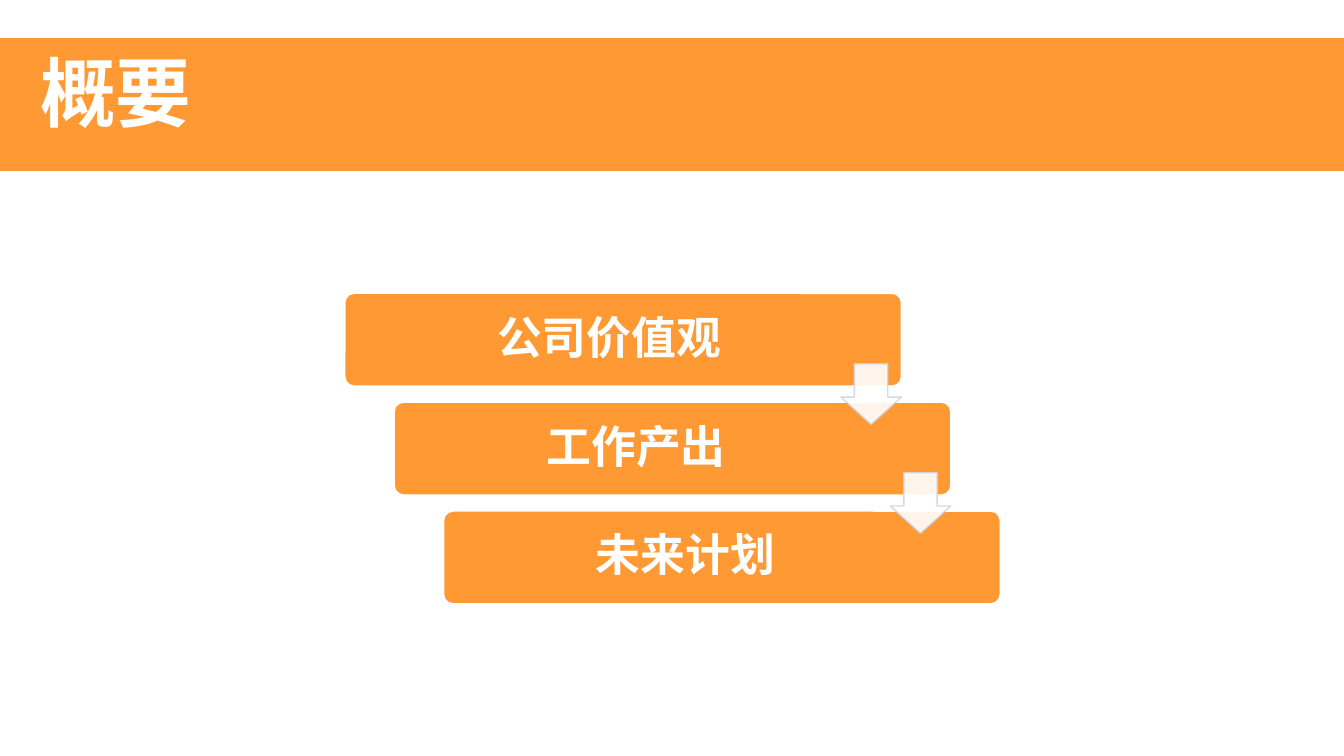
from lxml import etree
from pptx import Presentation
from pptx.dml.color import RGBColor
from pptx.enum.shapes import MSO_SHAPE
from pptx.enum.text import MSO_ANCHOR
from pptx.oxml.ns import qn
from pptx.util import Inches, Pt

RECTANGLE = MSO_SHAPE.RECTANGLE
ROUNDED = MSO_SHAPE.ROUNDED_RECTANGLE
DOWN_ARROW = MSO_SHAPE.DOWN_ARROW
TOP, MIDDLE = MSO_ANCHOR.TOP, MSO_ANCHOR.MIDDLE

COLORS = {"orange": "FF9933", "white": "FFFFFF", "arrow_line": "CFD5EA"}
FONT = "Noto Sans CJK SC"
WIDTH, HEIGHT = 13.33, 7.5

# Staircase: each step moves right and down by one column and one row
STEPS = ["公司价值观", "工作产出", "未来计划"]
LEFT, COLUMN = 3.42, 0.49
FIRST_TOP, ROW = 2.91, 1.08
BAR_WIDTH, BAR_HEIGHT = 5.52, 0.92
LABEL_WIDTH, LABEL_GAP = 4.45, 0.03
LABEL_INDENT = 1.48
ARROW_SIZE, ARROW_DROP = 0.6, 0.7


def color(name):
    return RGBColor.from_string(COLORS[name])


def set_opacity(color_format_parent, percent):
    """Add an alpha value to the solid colour below an element."""
    for rgb in color_format_parent.iter(qn("a:srgbClr")):
        etree.SubElement(rgb, qn("a:alpha")).set("val", str(percent * 1000))


def add_block(slide, kind, left, top, width, height, fill, line,
              adjustments=(), opacity=100):
    shape = slide.shapes.add_shape(
        kind, Inches(left), Inches(top), Inches(width), Inches(height))
    shape.shadow.inherit = False
    shape.fill.solid()
    shape.fill.fore_color.rgb = color(fill)
    shape.line.color.rgb = color(line)
    shape.line.width = Pt(1)
    for index, value in enumerate(adjustments):
        shape.adjustments[index] = value
    if opacity < 100:
        set_opacity(shape.element.spPr, opacity)


def add_text(slide, text, left, top, width, height, size=32, anchor=MIDDLE,
             indent=0.1, line_spacing=0.9):
    box = slide.shapes.add_textbox(
        Inches(left), Inches(top), Inches(width), Inches(height))
    frame = box.text_frame
    frame.word_wrap = True
    frame.vertical_anchor = anchor
    frame.margin_left = Inches(indent)
    paragraph = frame.paragraphs[0]
    paragraph.line_spacing = line_spacing
    run = paragraph.add_run()
    run.text = text
    run.font.size = Pt(size)
    run.font.bold = True
    run.font.color.rgb = color("white")
    run.font.name = FONT
    east_asian = etree.SubElement(run.font._element, qn("a:ea"))
    east_asian.set("typeface", FONT)


def add_step(slide, index, text):
    left, top = LEFT + index * COLUMN, FIRST_TOP + index * ROW
    add_block(slide, ROUNDED, left, top, BAR_WIDTH, BAR_HEIGHT,
              "orange", "white", adjustments=[0.1])
    add_text(slide, text, left + LABEL_GAP, top + LABEL_GAP, LABEL_WIDTH,
             BAR_HEIGHT - 2 * LABEL_GAP, indent=LABEL_INDENT)


def add_arrow(slide, index):
    left = LEFT + index * COLUMN + BAR_WIDTH - ARROW_SIZE
    top = FIRST_TOP + index * ROW + ARROW_DROP
    add_block(slide, DOWN_ARROW, left, top, ARROW_SIZE, ARROW_SIZE,
              "white", "arrow_line", adjustments=[0.55, 0.45], opacity=90)


def main():
    presentation = Presentation()
    presentation.slide_width = Inches(WIDTH)
    presentation.slide_height = Inches(HEIGHT)
    slide = presentation.slides.add_slide(presentation.slide_layouts[6])

    # Title band
    add_block(slide, RECTANGLE, 0, 0.38, WIDTH, 1.31, "orange", "orange")
    add_text(slide, "概要", 0.3, 0.53, 7.69, 1.01, size=54, anchor=TOP,
             line_spacing=0.87)

    # Steps, then the arrows that lie over them
    for index, text in enumerate(STEPS):
        add_step(slide, index, text)
    for index in range(len(STEPS) - 1):
        add_arrow(slide, index)

    presentation.save("out.pptx")


if __name__ == "__main__":
    main()
